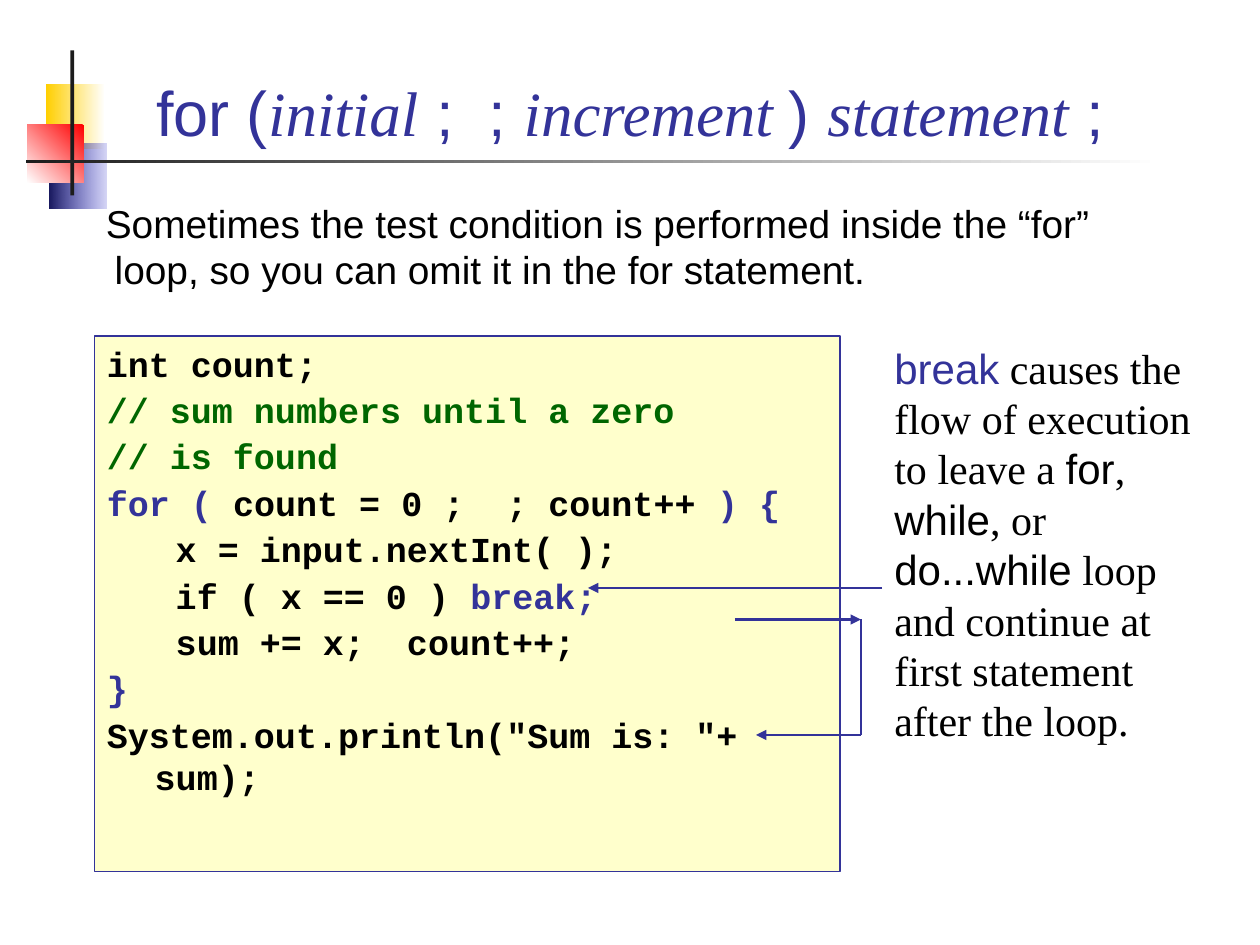
from lxml import etree
from pptx import Presentation
from pptx.dml.color import RGBColor
from pptx.enum.shapes import MSO_CONNECTOR, MSO_SHAPE
from pptx.enum.text import MSO_ANCHOR, MSO_AUTO_SIZE, PP_ALIGN
from pptx.oxml.ns import qn
from pptx.util import Inches, Pt

RECTANGLE, STRAIGHT = MSO_SHAPE.RECTANGLE, MSO_CONNECTOR.STRAIGHT
TOP, BOTTOM = MSO_ANCHOR.TOP, MSO_ANCHOR.BOTTOM
LEFT, CENTER = PP_ALIGN.LEFT, PP_ALIGN.CENTER
GROW = MSO_AUTO_SIZE.SHAPE_TO_FIT_TEXT

WHITE = RGBColor(0xFF, 0xFF, 0xFF)
BLACK = RGBColor(0x00, 0x00, 0x00)
CHARCOAL = RGBColor(0x1C, 0x1C, 0x1C)
YELLOW = RGBColor(0xFF, 0xCF, 0x01)
RED = RGBColor(0xFF, 0x00, 0x00)
BLUE = RGBColor(0x33, 0x33, 0xCC)
NAVY = RGBColor(0x17, 0x17, 0x5E)
INDIGO = RGBColor(0x33, 0x33, 0x99)
GREEN = RGBColor(0x00, 0x66, 0x00)
CREAM = RGBColor(0xFF, 0xFF, 0xCC)

SANS, SERIF, MONO = "Arial", "Times New Roman", "Courier New"
CELL = Inches(1 / 12)  # the page is a grid of 120 columns and 90 rows

TITLE = [[
    ("for (", SANS, INDIGO), ("initial", SERIF, INDIGO),
    (" ;  ; ", SANS, INDIGO), ("increment ", SERIF, INDIGO),
    (") ", SANS, INDIGO), ("statement", SERIF, INDIGO), (" ;", SANS, INDIGO),
]]
INTRO = [[("Sometimes the test condition is performed inside the “for” loop, "
           "so you can omit it in the for statement.", SANS, BLACK)]]
CODE = [
    [("int count;", MONO, BLACK)],
    [("// sum numbers until a zero", MONO, GREEN)],
    [("// is found", MONO, GREEN)],
    [("for (", MONO, INDIGO), (" count = 0 ;  ; count++ ", MONO, BLACK),
     (") {", MONO, INDIGO)],
    [("\t x = input.nextInt( );", MONO, BLACK)],
    [("\t if ( x == 0 ) ", MONO, BLACK), ("break;", MONO, INDIGO)],
    [("\t sum += x;  count++;", MONO, BLACK)],
    [("}", MONO, INDIGO)],
    [('System.out.println("Sum is: "+ sum);', MONO, BLACK)],
]
BREAK_NOTE = [[
    ("break", SANS, INDIGO),
    (" causes the flow of execution to leave a ", SERIF, BLACK),
    ("for", SANS, BLACK), (", ", SERIF, BLACK),
    ("while", SANS, BLACK), (", or ", SERIF, BLACK),
    ("do...while", SANS, BLACK),
    (" loop and continue at first statement after the loop.", SERIF, BLACK),
]]


def cells(*counts):
    return [round(count * CELL) for count in counts]


def add_rectangle(page, area, color=None):
    box = page.shapes.add_shape(RECTANGLE, *cells(*area))
    box.shadow.inherit = False
    box.line.fill.background()
    if color is not None:
        box.fill.solid()
        box.fill.fore_color.rgb = color
    return box


def add_gradient(page, area, start, end, angle=180, start_opacity=None):
    """Add a rectangle with a two-colour gradient; the angle is clockwise."""
    box = add_rectangle(page, area)
    box.fill.gradient()
    box.fill.gradient_angle = 360 - angle
    for stop, color, position in zip(box.fill.gradient_stops, (start, end), (0, 1)):
        stop.color.rgb = color
        stop.position = position
    if start_opacity is not None:
        first_color = next(box._element.spPr.iter(qn("a:srgbClr")))
        etree.SubElement(first_color, qn("a:alpha"), val=str(start_opacity * 1000))


def write(box, paragraphs, size, anchor=TOP, align=LEFT, hanging=0, gap=0,
          bold=False, italic_serif=False):
    """Fill a box with paragraphs of (text, font, colour) spans."""
    frame = box.text_frame
    frame.word_wrap = True
    frame.vertical_anchor = anchor
    for index, spans in enumerate(paragraphs):
        para = frame.add_paragraph() if index else frame.paragraphs[0]
        para.alignment = align
        if index:
            para.space_before = Pt(gap)
        if hanging:
            properties = para._p.get_or_add_pPr()
            properties.set("marL", str(Inches(hanging)))
            properties.set("indent", str(-Inches(hanging)))
        for text, font, color in spans:
            span = para.add_run()
            span.text = text
            span.font.name = font
            span.font.size = Pt(size)
            span.font.color.rgb = color
            span.font.bold = bold
            span.font.italic = italic_serif and font == SERIF


def add_text(page, area, paragraphs, size, **style):
    box = page.shapes.add_textbox(*cells(*area))
    write(box, paragraphs, size, **style)
    return box


def add_line(page, start, end, arrow=None):
    """Add a line; arrow is headEnd (at start), tailEnd (at end) or None."""
    line = page.shapes.add_connector(STRAIGHT, *cells(*start, *end))
    line.line.color.rgb = INDIGO
    line.line.width = Pt(1.5)
    if arrow:
        etree.SubElement(line.line._get_or_add_ln(), qn("a:" + arrow), type="triangle")
    etree.SubElement(line._element.spPr, qn("a:effectLst"))


def add_decoration(page):
    add_gradient(page, (4.4, 8, 5.6, 6.2), WHITE, YELLOW)
    add_gradient(page, (4.7, 13.7, 5.4, 6.2), BLUE, NAVY, start_opacity=20)
    add_gradient(page, (2.6, 11.9, 5.4, 5.5), RED, WHITE, angle=135)
    add_rectangle(page, (6.7, 4.8, 0.36, 13.8), CHARCOAL)
    add_gradient(page, (2.5, 15.2, 108, 0.36), WHITE, CHARCOAL)


def add_code(page):
    box = add_rectangle(page, (9, 32, 71, 51), CREAM)
    box.line.color.rgb = INDIGO
    box.line.width = Pt(0.75)
    write(box, CODE, 20, hanging=0.38, gap=2.5, bold=True)


def add_flow(page):
    """Lead from the break out of the loop to the statement after it."""
    corner_top, corner_bottom = (82, 59), (82, 70)
    add_line(page, (70, 59), corner_top, "tailEnd")
    add_line(page, corner_top, corner_bottom)
    add_line(page, (72, 70), corner_bottom, "headEnd")


def main():
    deck = Presentation()
    deck.slide_width, deck.slide_height = cells(120, 90)
    page = deck.slides.add_slide(deck.slide_layouts[6])
    add_decoration(page)
    add_text(page, (8, 3.4, 104, 11.4), TITLE, 36, anchor=BOTTOM, align=CENTER,
             italic_serif=True)
    add_text(page, (8.9, 18.4, 104, 10.4), INTRO, 22.2, hanging=0.07)
    add_code(page)
    add_line(page, (84, 56), (56, 56), "tailEnd")
    note = add_text(page, (84, 32, 31, 39.6), BREAK_NOTE, 24)
    note.text_frame.auto_size = GROW
    add_flow(page)
    deck.save("out.pptx")


if __name__ == "__main__":
    main()
